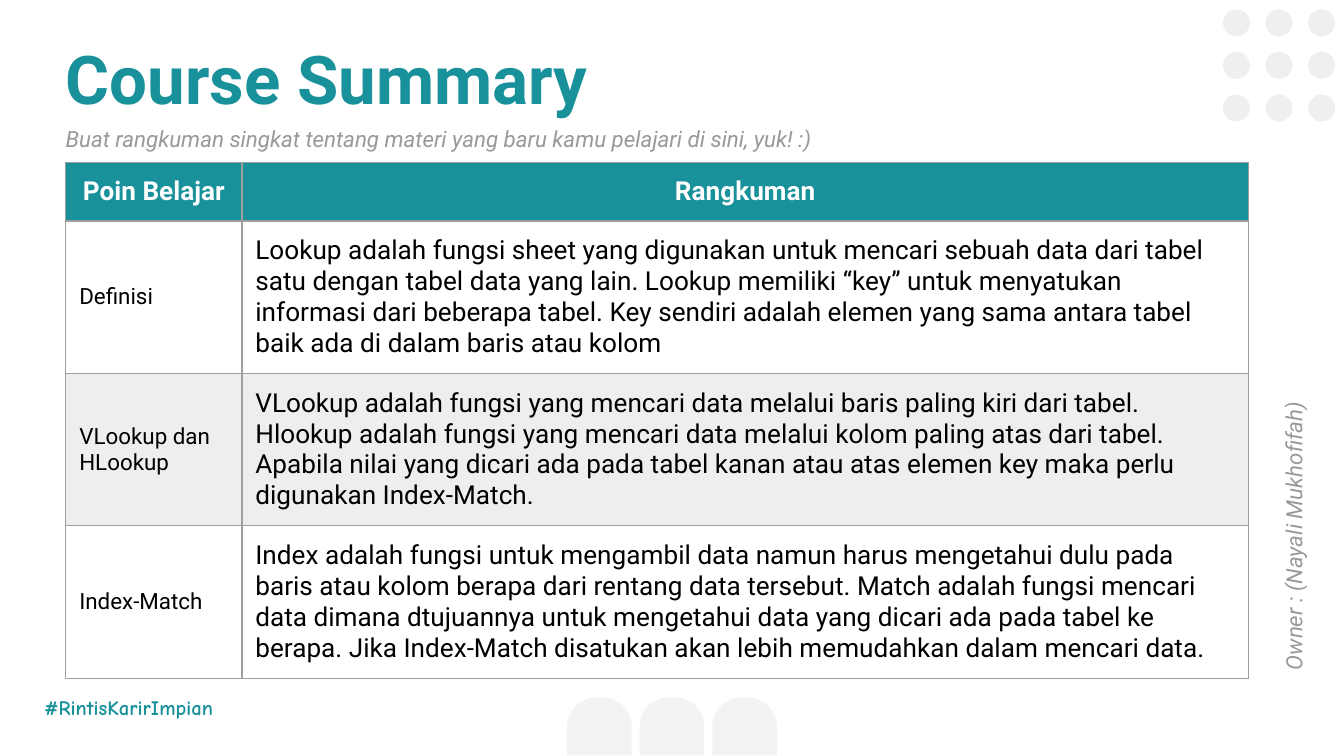
"""Build the course summary slide on a grid of 100 columns by 56.25 rows."""
from dataclasses import dataclass, field
from itertools import product

from lxml import etree
from pptx import Presentation
from pptx import util as u
from pptx.dml.color import RGBColor
from pptx.enum import shapes, text
from pptx.oxml.ns import qn

COLUMNS, ROWS = 100, 56.25
UNIT = u.Inches(10) / COLUMNS
TEAL, GREY, WHITE, BLACK = "18919B", "999999", "FFFFFF", "000000"
BORDER, BAND, DOT, TAB = "9E9E9E", "EEEEEE", "EFEFEF", "F3F3F3"

TITLE = {"size": u.Pt(36), "name": "Roboto", "bold": True, "color": TEAL}
HASHTAG = {"size": u.Pt(11), "name": "Comic Neue", "bold": True, "color": TEAL}
NOTE = {"size": u.Pt(12), "name": "Roboto", "italic": True, "color": GREY}
HEADER = {"size": u.Pt(14), "name": "Roboto", "bold": True, "color": WHITE}
POINT = {"size": u.Pt(12), "name": "Roboto", "bold": False, "color": BLACK}
SUMMARY = {**POINT, "size": u.Pt(14)}


@dataclass(frozen=True)
class Box:
    """A place on the grid, in columns and rows."""
    left: float
    top: float
    width: float
    height: float

    def lengths(self) -> list[int]:
        """Return the four lengths for python-pptx."""
        return [grid(v) for v in (self.left, self.top, self.width, self.height)]


@dataclass(frozen=True)
class Label:
    """A line of text in its own box."""
    wording: str
    box: Box
    font: dict
    paragraph: dict = field(default_factory=dict)
    rotation: float = 0


@dataclass(frozen=True)
class Pattern:
    """One shape repeated across and down."""
    kind: shapes.MSO_SHAPE
    first: Box
    across: int
    down: int
    step: float
    fill: str
    adjustments: tuple = ()


PATTERNS = [
    Pattern(shapes.MSO_SHAPE.ROUND_2_SAME_RECTANGLE, Box(42.2, 51.9, 4.8, 4.3),
            3, 1, 5.4, TAB, (0.5, 0)),
    Pattern(shapes.MSO_SHAPE.OVAL, Box(91, 0.7, 2, 2), 3, 3, 3.17, DOT),
]
LABELS = [
    Label("#RintisKarirImpian", Box(2.3, 50.8, 15.7, 3.9), HASHTAG),
    Label("Course Summary", Box(3.9, 1.8, 86.2, 8.1), TITLE),
    Label("Buat rangkuman singkat tentang materi yang baru kamu pelajari di sini, yuk! :)",
          Box(3.9, 8, 88, 4), NOTE, {"line_spacing": 1.15}),
    Label("Owner : (Nayali Mukhofifah)", Box(73.9, 26.5, 44.4, 4.3), NOTE,
          {"line_spacing": 1.15}, 270),
]
TABLE_BOX = Box(4.9, 12.1, 88, 38.3)
COLUMN_WIDTHS = (13.1, 74.9)
ROW_HEIGHTS = (4.3, 11.33, 11.33, 11.33)
CONTENT = [
    ("Poin Belajar", "Rangkuman"),
    ("Definisi",
     "Lookup adalah fungsi sheet yang digunakan untuk mencari sebuah data dari tabel "
     "satu dengan tabel data yang lain. Lookup memiliki “key” untuk menyatukan "
     "informasi dari beberapa tabel. Key sendiri adalah elemen yang sama antara tabel "
     "baik ada di dalam baris atau kolom"),
    ("VLookup dan HLookup",
     "VLookup adalah fungsi yang mencari data melalui baris paling kiri dari tabel. "
     "Hlookup adalah fungsi yang mencari data melalui kolom paling atas dari tabel. "
     "Apabila nilai yang dicari ada pada tabel kanan atau atas elemen key maka perlu "
     "digunakan Index-Match."),
    ("Index-Match",
     "Index adalah fungsi untuk mengambil data namun harus mengetahui dulu pada "
     "baris atau kolom berapa dari rentang data tersebut. Match adalah fungsi mencari "
     "data dimana dtujuannya untuk mengetahui data yang dicari ada pada tabel ke "
     "berapa. Jika Index-Match disatukan akan lebih memudahkan dalam mencari data."),
]


def grid(units: float) -> int:
    """Turn grid units into a length."""
    return u.Emu(round(units * UNIT))


def paint(target, colour: str) -> None:
    """Give a fill or a font a hex colour."""
    if hasattr(target, "solid"):
        target.solid()
        target = target.fore_color
    else:
        target = target.color
    target.rgb = RGBColor.from_string(colour)


def assign(target, values: dict) -> None:
    """Set attributes from a dict of format values."""
    for name, value in values.items():
        if name == "color":
            paint(target, value)
        else:
            setattr(target, name, value)


def write(frame, wording: str, font: dict, paragraph_format: dict) -> None:
    """Write one formatted paragraph."""
    paragraph = frame.paragraphs[0]
    assign(paragraph, paragraph_format)
    run = paragraph.add_run()
    run.text = wording
    assign(run.font, font)


def margins() -> dict:
    """Return equal margins of one grid unit."""
    return {f"margin_{side}": grid(1) for side in ("left", "top", "right", "bottom")}


def draw_pattern(slide, pattern: Pattern) -> None:
    """Draw a grouped grid of equal shapes."""
    group = slide.shapes.add_group_shape()
    first = pattern.first
    for row, column in product(range(pattern.down), range(pattern.across)):
        box = Box(first.left + column * pattern.step, first.top + row * pattern.step,
                  first.width, first.height)
        shape = group.shapes.add_shape(pattern.kind, *box.lengths())
        shape.shadow.inherit = False
        shape.line.fill.background()
        paint(shape.fill, pattern.fill)
        for index, value in enumerate(pattern.adjustments):
            shape.adjustments[index] = value


def draw_label(slide, label: Label) -> None:
    """Draw a text box."""
    shape = slide.shapes.add_textbox(*label.box.lengths())
    shape.rotation = label.rotation
    frame = shape.text_frame
    assign(frame, {**margins(), "word_wrap": True,
                   "auto_size": text.MSO_AUTO_SIZE.SHAPE_TO_FIT_TEXT})
    write(frame, label.wording, label.font, label.paragraph)


def add_borders(cell) -> None:
    """Line all four sides of a cell."""
    properties = cell._tc.get_or_add_tcPr()
    for index, side in enumerate(("lnL", "lnR", "lnT", "lnB")):
        line = etree.Element(qn(f"a:{side}"), w=str(u.Pt(0.75)))
        fill = etree.SubElement(line, qn("a:solidFill"))
        etree.SubElement(fill, qn("a:srgbClr"), val=BORDER)
        properties.insert(index, line)


def draw_table(slide) -> None:
    """Draw the table of learning points."""
    table = slide.shapes.add_table(len(ROW_HEIGHTS), len(COLUMN_WIDTHS),
                                   *TABLE_BOX.lengths()).table
    for column, width in zip(table.columns, COLUMN_WIDTHS):
        column.width = grid(width)
    for row, height in zip(table.rows, ROW_HEIGHTS):
        row.height = grid(height)
    for r, c in product(range(len(ROW_HEIGHTS)), range(len(COLUMN_WIDTHS))):
        cell = table.cell(r, c)
        header = r == 0
        anchor = text.MSO_ANCHOR.TOP if header else text.MSO_ANCHOR.MIDDLE
        align = text.PP_ALIGN.CENTER if header else text.PP_ALIGN.LEFT
        assign(cell, {**margins(), "vertical_anchor": anchor})
        paint(cell.fill, TEAL if header else (WHITE, BAND)[(r + 1) % 2])
        write(cell.text_frame, CONTENT[r][c],
              HEADER if header else (POINT, SUMMARY)[c], {"alignment": align})
        add_borders(cell)


def main() -> None:
    """Build and save the slide."""
    presentation = Presentation()
    assign(presentation, {"slide_width": grid(COLUMNS), "slide_height": grid(ROWS)})
    slide = presentation.slides.add_slide(presentation.slide_layouts[6])
    for pattern in PATTERNS:
        draw_pattern(slide, pattern)
    for label in LABELS:
        draw_label(slide, label)
    draw_table(slide)
    presentation.save("out.pptx")


if __name__ == "__main__":
    main()
